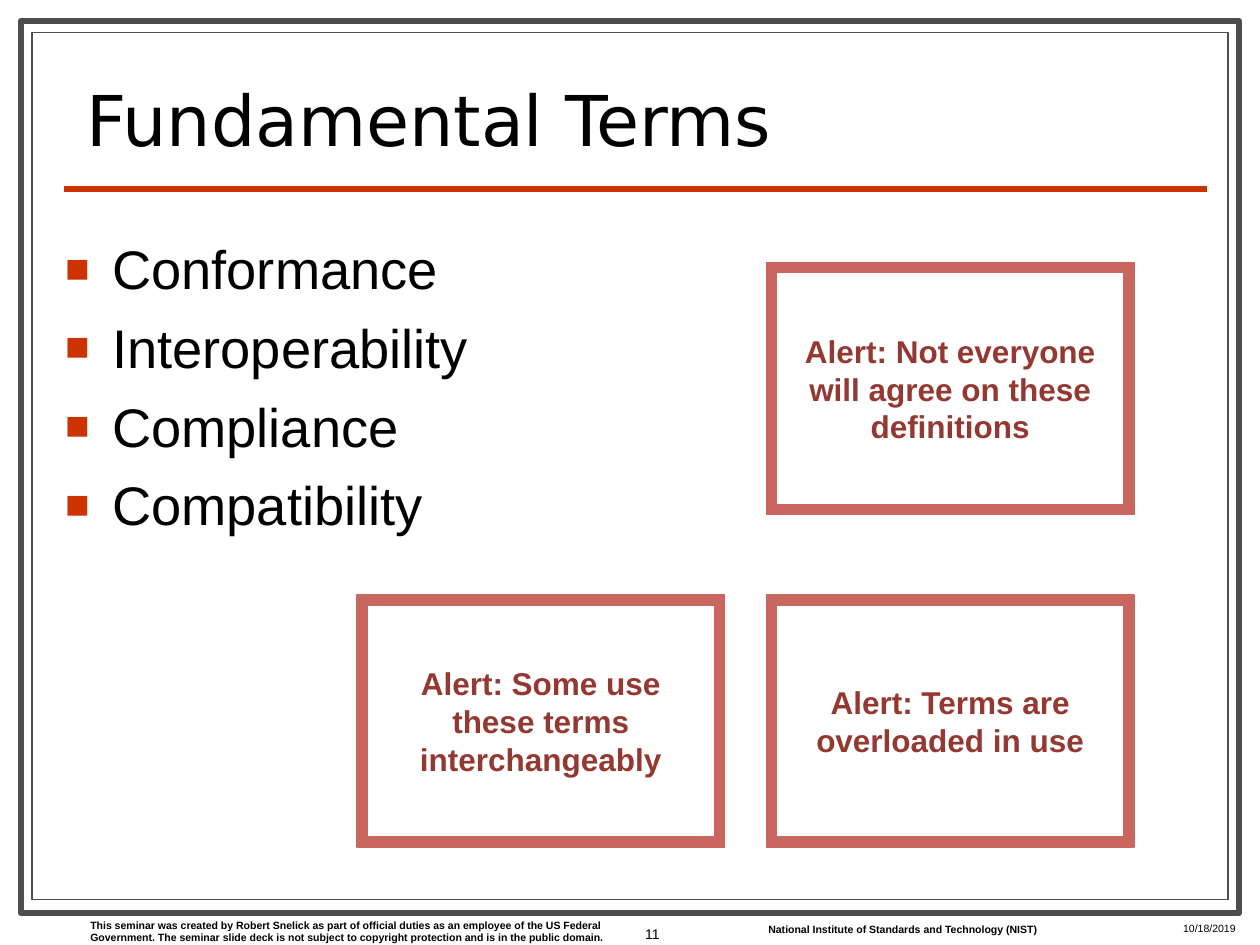
from typing import NamedTuple, Optional

from lxml.etree import SubElement
from pptx import Presentation
from pptx.dml.color import RGBColor
from pptx.enum.shapes import MSO_CONNECTOR as Conn, MSO_SHAPE as Shape
from pptx.enum.text import MSO_ANCHOR as Anchor, MSO_AUTO_SIZE as AutoSize, PP_ALIGN as Align
from pptx.oxml.ns import qn
from pptx.util import Pt

BLACK = RGBColor(0x00, 0x00, 0x00)
GRAY = RGBColor(0x4D, 0x4D, 0x4D)
ORANGE = RGBColor(0xCC, 0x33, 0x00)
ROSE = RGBColor(0xC9, 0x66, 0x60)
MAROON = RGBColor(0x94, 0x38, 0x32)


class Box(NamedTuple):
    left: float
    top: float
    width: float
    height: float

    def lengths(self) -> list:
        return [Pt(v) for v in self]


class Border(NamedTuple):
    box: Box
    weight: float


class Note(NamedTuple):
    text: str
    box: Box
    size: float = 6
    bold: bool = False
    align: Align = Align.LEFT
    anchor: Anchor = Anchor.TOP


class Alert(NamedTuple):
    text: str
    col: int
    row: int


BORDERS = [Border(Box(12, 12, 696, 510), 3.5), Border(Box(18.25, 18.5, 683.5, 495.5), 0.75)]
NOTES = [
    Note("This seminar was created by Robert Snelick as part of official duties as an "
         "employee of the US Federal Government. The seminar slide deck is not subject to "
         "copyright protection and is in the public domain.",
         Box(44.5, 521.5, 312, 21.5), bold=True),
    Note("National Institute of Standards and Technology (NIST)",
         Box(432, 524, 171.5, 14.5), bold=True),
    Note("10/18/2019", Box(669, 523.5, 45.5, 11.5)),
    Note("11", Box(342, 515, 42, 37.5), 8, align=Align.RIGHT, anchor=Anchor.MIDDLE),
]
TERMS = ["Conformance", "Interoperability", "Compliance", "Compatibility"]
ALERTS = [
    Alert("Alert: Not everyone will agree on these definitions", 1, 0),
    Alert("Alert: Terms are overloaded in use", 1, 1),
    Alert("Alert: Some use these terms interchangeably", 0, 1),
]
ALERT_LEFT, ALERT_TOP = 204, 150
ALERT_WIDTH, ALERT_HEIGHT = 210, 144
COL_STEP, ROW_STEP = 234, 190


def add_run(p, text: str, size: float, color: RGBColor = BLACK, bold: bool = False,
            font: str = "Arial") -> None:
    r = p.add_run()
    r.text = text
    r.font.name, r.font.size, r.font.bold = font, Pt(size), bold
    r.font.color.rgb = color


def place(sp, box: Box) -> None:
    sp.left, sp.top, sp.width, sp.height = box.lengths()


def add_outlined(s, kind: Shape, box: Box, line: RGBColor, weight: float,
                 fill: Optional[RGBColor] = None):
    sp = s.shapes.add_shape(kind, *box.lengths())
    sp.shadow.inherit = False
    if fill is None:
        sp.fill.background()
    else:
        sp.fill.solid()
        sp.fill.fore_color.rgb = fill
    sp.line.color.rgb = line
    sp.line.width = Pt(weight)
    return sp


def add_rule(s) -> None:
    rule = s.shapes.add_connector(Conn.STRAIGHT, Pt(36.75), Pt(108), Pt(690), Pt(108))
    rule.line.color.rgb = ORANGE
    rule.line.width = Pt(3)
    SubElement(rule.element.spPr, qn("a:effectLst"))


def add_note(s, note: Note) -> None:
    tf = s.shapes.add_textbox(*note.box.lengths()).text_frame
    tf.word_wrap = True
    tf.vertical_anchor = note.anchor
    p = tf.paragraphs[0]
    p.alignment = note.align
    add_run(p, note.text, note.size, bold=note.bold)


def set_title(sp, text: str) -> None:
    place(sp, Box(42, 30, 642, 65))
    tf = sp.text_frame
    tf.auto_size = AutoSize.NONE
    tf.vertical_anchor = Anchor.BOTTOM
    p = tf.paragraphs[0]
    p.alignment = Align.LEFT
    p.line_spacing = 0.8
    add_run(p, text, 40, font="DejaVu Sans")


def add_bullet(p) -> None:
    pPr = p._p.get_or_add_pPr()
    pPr.set("marL", str(Pt(27)))
    pPr.set("indent", str(Pt(-27)))
    SubElement(SubElement(pPr, qn("a:buClr")), qn("a:srgbClr"), val=str(ORANGE))
    SubElement(pPr, qn("a:buSzPct"), val="75000")
    SubElement(pPr, qn("a:buFont"), typeface="Arial")
    SubElement(pPr, qn("a:buChar"), char="■")


def set_terms(sp, terms: list[str]) -> None:
    place(sp, Box(30, 126.5, 660, 372.5))
    tf = sp.text_frame
    tf.auto_size = AutoSize.NONE
    tf.margin_top = Pt(8)
    for i, term in enumerate(terms):
        p = tf.add_paragraph() if i else tf.paragraphs[0]
        add_bullet(p)
        p.space_before = Pt(7.75 if i else 0)
        add_run(p, term, 31)


def add_alert(s, alert: Alert) -> None:
    box = Box(ALERT_LEFT + alert.col * COL_STEP, ALERT_TOP + alert.row * ROW_STEP,
              ALERT_WIDTH, ALERT_HEIGHT)
    sp = add_outlined(s, Shape.FRAME, box, ROSE, 0.75, ROSE)
    sp.adjustments[0] = 0.04
    tf = sp.text_frame
    tf.word_wrap = True
    tf.vertical_anchor = Anchor.MIDDLE
    p = tf.paragraphs[0]
    p.alignment = Align.CENTER
    add_run(p, alert.text, 18, MAROON, True)


def main() -> None:
    prs = Presentation()
    prs.slide_width, prs.slide_height = Pt(720), Pt(540)
    s = prs.slides.add_slide(prs.slide_layouts[1])
    for border in BORDERS:
        add_outlined(s, Shape.RECTANGLE, border.box, GRAY, border.weight)
    add_rule(s)
    set_title(s.shapes.title, "Fundamental Terms")
    set_terms(s.placeholders[1], TERMS)
    for note in NOTES:
        add_note(s, note)
    for alert in ALERTS:
        add_alert(s, alert)
    prs.save("out.pptx")


if __name__ == "__main__":
    main()
